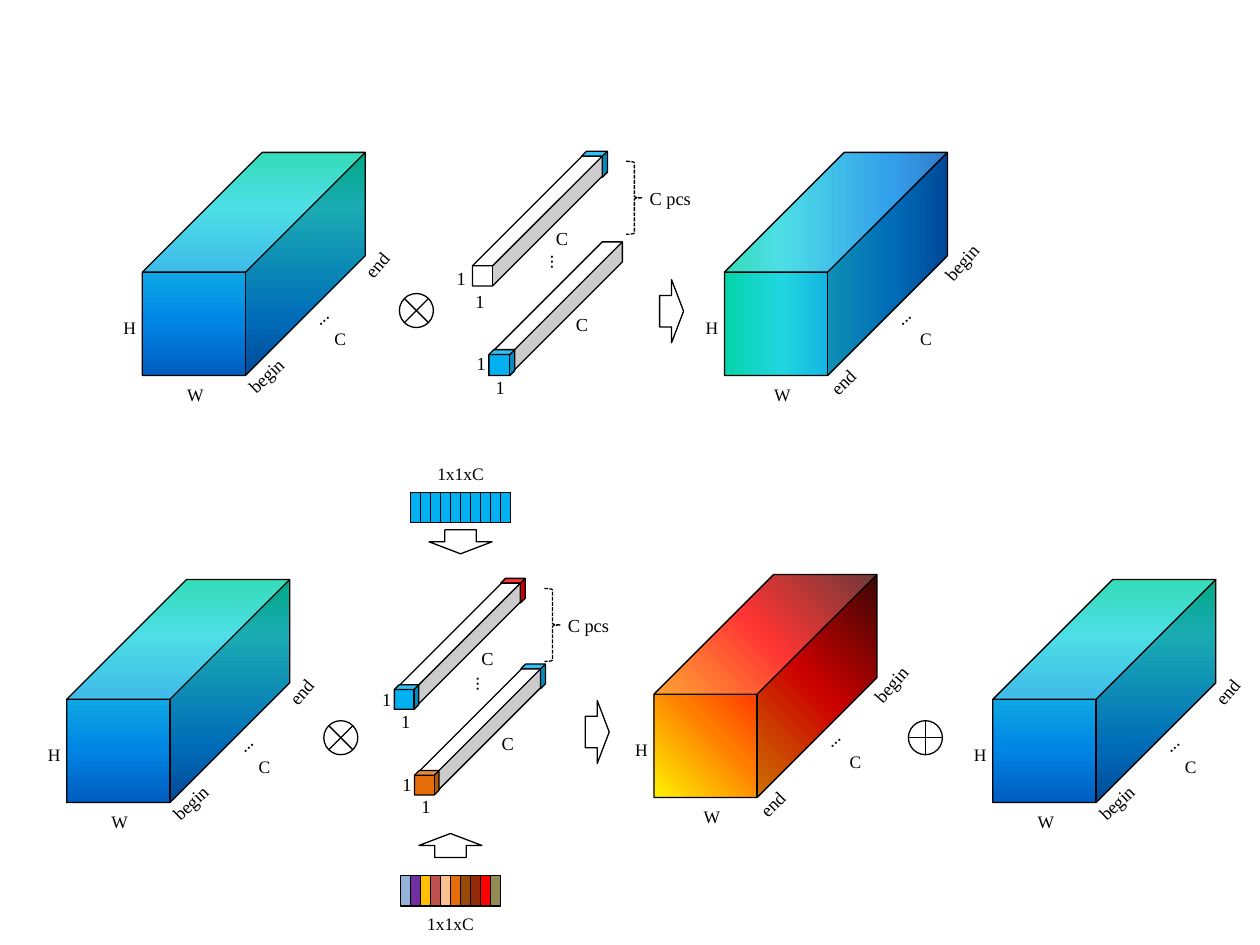
from copy import deepcopy

from pptx import Presentation
from pptx.dml.color import RGBColor
from pptx.enum.dml import MSO_LINE
from pptx.enum.shapes import MSO_CONNECTOR, MSO_SHAPE as Kind
from pptx.enum.text import MSO_ANCHOR, PP_ALIGN
from pptx.oxml.ns import qn
from pptx.util import Inches, Pt

BLACK = RGBColor(0x00, 0x00, 0x00)
WHITE = RGBColor(0xFF, 0xFF, 0xFF)
SKY = RGBColor(0x00, 0xB0, 0xF0)
RED = RGBColor(0xFF, 0x00, 0x00)
ORANGE = RGBColor(0xE4, 0x6C, 0x0A)
MIXED = [RGBColor(0x95, 0xB3, 0xD7), RGBColor(0x70, 0x30, 0xA0),
         RGBColor(0xFF, 0xC0, 0x00), RGBColor(0xC0, 0x50, 0x4D),
         RGBColor(0xFA, 0xC0, 0x90), ORANGE,
         RGBColor(0x98, 0x48, 0x07), RGBColor(0x96, 0x28, 0x0A),
         RED, RGBColor(0x94, 0x8A, 0x54)]
OCEAN = [(0, RGBColor(0x03, 0xD4, 0xA8)), (0.25, RGBColor(0x21, 0xD6, 0xE0)),
         (0.75, RGBColor(0x00, 0x87, 0xE6)), (1, RGBColor(0x00, 0x5C, 0xBF))]
FIRE = [(0, RGBColor(0xFF, 0xF2, 0x00)), (0.29, RGBColor(0xFF, 0x7A, 0x00)),
        (0.61, RGBColor(0xFF, 0x03, 0x00)), (1, RGBColor(0x4D, 0x08, 0x08))]
FONT = "Times New Roman"
SMALL, LARGE = 10, 10.5


def shape(slide, kind, x, y, w, h, color=None):
    item = slide.shapes.add_shape(kind, Inches(x), Inches(y), Inches(w), Inches(h))
    item.shadow.inherit = False
    if color is None:
        item.fill.background()
    else:
        item.fill.solid()
        item.fill.fore_color.rgb = color
    item.line.color.rgb = BLACK
    item.line.width = Pt(0.75)
    return item


def cube(slide, x, y, size, depth, color=None):
    item = shape(slide, Kind.CUBE, x, y, size, size, color)
    item.adjustments[0] = depth
    return item


def shade(item, stops, angle):
    """Fill with a gradient; the angle runs counter-clockwise."""
    item.fill.gradient()
    item.fill.gradient_angle = angle
    group = item._element.spPr.find(".//" + qn("a:gsLst"))
    while len(group) < len(stops):
        group.append(deepcopy(group[0]))
    for stop, (place, color) in zip(item.fill.gradient_stops, stops):
        stop.position = place
        stop.color.rgb = color


def label(slide, text, x, y, size=LARGE, turn=0):
    """Write one line of text centred on a point."""
    w, h = 0.5, 0.18
    box = slide.shapes.add_textbox(Inches(x - w / 2), Inches(y - h / 2),
                                   Inches(w), Inches(h))
    box.rotation = turn
    frame = box.text_frame
    frame.word_wrap = False
    frame.vertical_anchor = MSO_ANCHOR.MIDDLE
    frame.margin_left = frame.margin_right = 0
    frame.margin_top = frame.margin_bottom = 0
    para = frame.paragraphs[0]
    para.text = text
    para.alignment = PP_ALIGN.CENTER
    para.font.name = FONT
    para.font.size = Pt(size)
    para.font.color.rgb = BLACK


def stroke(slide, x1, y1, x2, y2):
    line = slide.shapes.add_connector(MSO_CONNECTOR.STRAIGHT, Inches(x1),
                                      Inches(y1), Inches(x2), Inches(y2))
    line.line.color.rgb = BLACK
    line.line.width = Pt(0.75)
    props = line._element.spPr
    props.append(props.makeelement(qn("a:effectLst"), {}))


def arrow(slide, x, y, turn=0):
    """Place a block arrow centred on a point."""
    w, h = 0.19, 0.5
    item = shape(slide, Kind.RIGHT_ARROW, x - w / 2, y - h / 2, w, h)
    item.rotation = turn


def volume(slide, x, y, stops, angle, ahead=True):
    """Draw an H x W x C block whose channels run ahead or in reverse."""
    shade(cube(slide, x, y, 1.77, 0.537), stops, angle)
    label(slide, "...", x + 1.41, y + 1.3, turn=316.1)
    if ahead:
        label(slide, "begin", x + 0.98, y + 1.77, turn=316.1)
        label(slide, "end", x + 1.86, y + 0.89, turn=310.7)
    else:
        label(slide, "end", x + 0.94, y + 1.82, turn=314.9)
        label(slide, "begin", x + 1.88, y + 0.87, turn=311.6)
    label(slide, "H", x - 0.1, y + 1.39, SMALL)
    label(slide, "W", x + (0.42 if ahead else 0.46), y + 1.92, SMALL)
    label(slide, "C", x + (1.57 if ahead else 1.6), y + 1.48, SMALL)


def bar(slide, x, y, size, front, back):
    """Draw a 1 x 1 x C kernel with an optional coloured cell at each end."""
    cell = 0.2 * size
    if back:
        cube(slide, x + 0.84 * size, y - 0.04, cell, 0.192, back)
    cube(slide, x, y, size, 0.845, WHITE)
    if front:
        cube(slide, x - 0.03, y + 0.83 * size, cell, 0.192, front)
    label(slide, "1", x + 0.06, y + size + 0.12)
    label(slide, "1", x - 0.09, y + 0.8 * size + 0.14)
    label(slide, "C", x + 0.71, y + size - 0.38)


def kernels(slide, x, y, size, ends):
    """Draw two kernels, the dots between them and the brace beside them."""
    for i, (front, back) in enumerate(ends):
        bar(slide, x + 0.16 * i, y + 0.68 * i, size, front, back)
    label(slide, "...", x + 0.58, y + 0.68 * size + 0.14, turn=270)
    edge = x + size + 0.19
    brace = shape(slide, Kind.RIGHT_BRACE, edge, y + 0.04, 0.13, 0.58)
    brace.line.dash_style = MSO_LINE.SQUARE_DOT
    label(slide, "C pcs", edge + 0.35, y + 0.33)


def strip(slide, x, y, colors, above):
    """Draw a row of channel weights, above or below the kernels it feeds."""
    total = 0.79
    step = total / len(colors)
    for i, color in enumerate(colors):
        shape(slide, Kind.RECTANGLE, x + i * step, y, step, 0.24, color)
    mid = x + total / 2
    label(slide, "1x1xC", mid, y + (-0.15 if above else 0.38), SMALL)
    arrow(slide, mid, y + (0.39 if above else -0.24), 90 if above else 270)


def sign(slide, x, y, plus=False):
    """Draw a circled plus or a circled times."""
    d, gap = 0.27, 0.04
    shape(slide, Kind.OVAL, x, y, d, d, WHITE)
    if plus:
        stroke(slide, x + d / 2, y, x + d / 2, y + d)
        stroke(slide, x, y + d / 2, x + d, y + d / 2)
    else:
        stroke(slide, x + gap, y + gap, x + d - gap, y + d - gap)
        stroke(slide, x + gap, y + d - gap, x + d - gap, y + gap)


def reverse(slide):
    """Top row: kernels that reverse the channel order."""
    volume(slide, 1.13, 1.21, OCEAN, 270)
    sign(slide, 3.17, 2.33)
    kernels(slide, 3.75, 1.24, 1.03, [(None, SKY), (SKY, None)])
    arrow(slide, 5.33, 2.47)
    volume(slide, 5.75, 1.21, OCEAN, 0, ahead=False)


def blend(slide):
    """Bottom row: weighted kernels, then the input added back."""
    volume(slide, 0.53, 4.6, OCEAN, 270)
    sign(slide, 2.57, 5.72)
    strip(slide, 3.26, 3.91, [SKY] * 10, above=True)
    kernels(slide, 3.16, 4.63, 0.97, [(SKY, RED), (ORANGE, SKY)])
    strip(slide, 3.18, 6.95, MIXED, above=False)
    arrow(slide, 4.74, 5.81)
    volume(slide, 5.19, 4.56, FIRE, 45, ahead=False)
    sign(slide, 7.21, 5.72, plus=True)
    volume(slide, 7.88, 4.6, OCEAN, 270)


def main():
    deck = Presentation()
    deck.slide_width, deck.slide_height = Inches(10), Inches(7.5)
    slide = deck.slides.add_slide(deck.slide_layouts[6])
    reverse(slide)
    blend(slide)
    deck.save("out.pptx")


if __name__ == "__main__":
    main()
